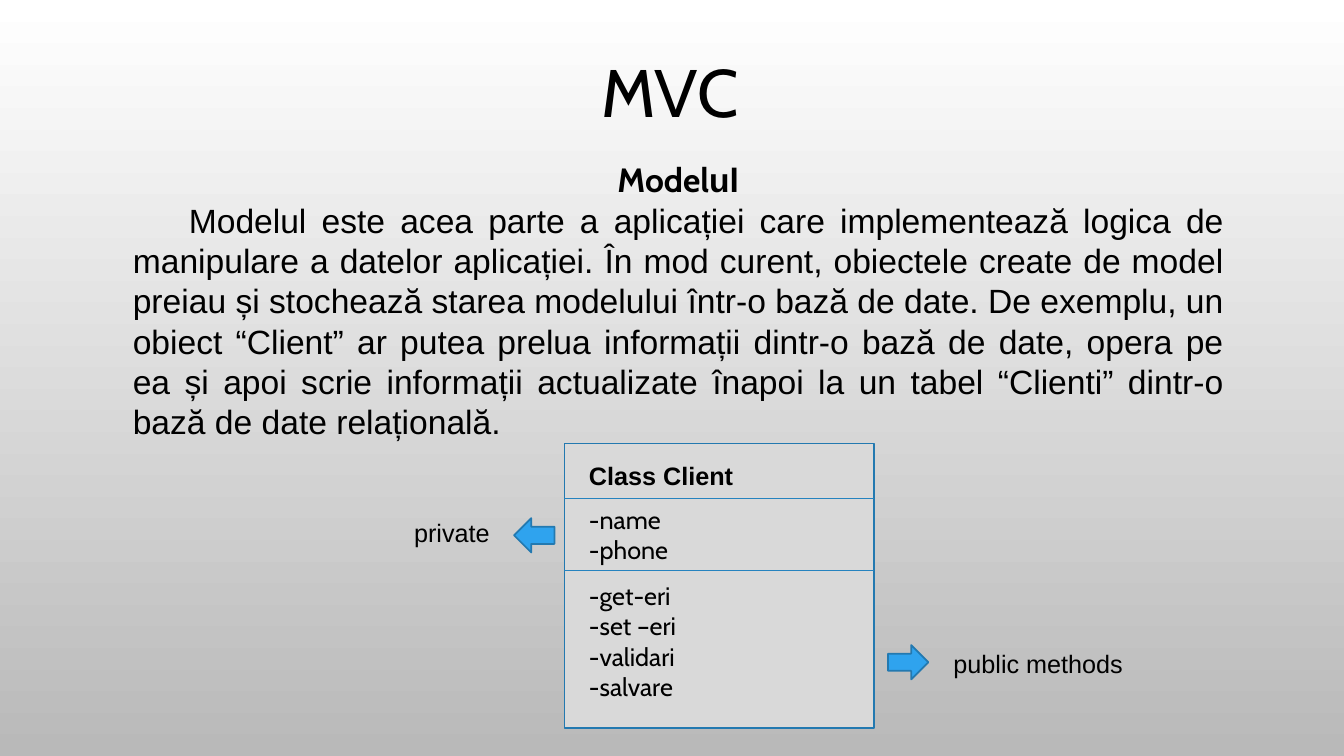
from lxml.etree import SubElement
from pptx import Presentation
from pptx.dml.color import RGBColor
from pptx.enum.shapes import MSO_CONNECTOR as Connector, MSO_SHAPE as Shape
from pptx.enum.text import MSO_ANCHOR as Anchor, PP_ALIGN as Align
from pptx.oxml.ns import qn
from pptx.util import Pt

BLACK = RGBColor(0x00, 0x00, 0x00)
WHITE = RGBColor(0xFF, 0xFF, 0xFF)
SILVER = RGBColor(0xB9, 0xB9, 0xB9)
CARD_GREY = RGBColor(0xD9, 0xD9, 0xD9)
ARROW_BLUE = RGBColor(0x2F, 0xA3, 0xEE)
OUTLINE_BLUE = RGBColor(0x23, 0x79, 0xB0)
DIVIDER_BLUE = RGBColor(0x26, 0x83, 0xBF)

HEADING_FONT = "Cabin"
BODY_FONT = "Arial"

EXPLANATION = (
    "Modelul este acea parte a aplicației care implementează logica de manipulare "
    "a datelor aplicației. În mod curent, obiectele create de model preiau și "
    "stochează starea modelului într-o bază de date. De exemplu, un obiect “Client” "
    "ar putea prelua informații dintr-o bază de date, opera pe ea și apoi scrie "
    "informații actualizate înapoi la un tabel “Clienti” dintr-o bază de date "
    "relațională."
)


def style(paragraph, font_name, size, bold=False, align=Align.LEFT):
    """Set the font and alignment of a whole paragraph."""
    font = paragraph.font
    font.name, font.size, font.bold = font_name, Pt(size), bold
    font.color.rgb = BLACK
    paragraph.alignment = align


def add_text(slide, box, lines, font_name, size=18, bold=False, align=Align.LEFT):
    """Add a wrapping text box with one paragraph per line."""
    frame = slide.shapes.add_textbox(*map(Pt, box)).text_frame
    frame.word_wrap = True
    frame.text = "\n".join(lines)
    for paragraph in frame.paragraphs:
        style(paragraph, font_name, size, bold, align)
    return frame


def add_block(slide, kind, box, fill):
    """Add a filled preset shape with the blue outline."""
    block = slide.shapes.add_shape(kind, *map(Pt, box))
    block.shadow.inherit = False
    block.fill.solid()
    block.fill.fore_color.rgb = fill
    block.line.color.rgb = OUTLINE_BLUE
    block.line.width = Pt(1.25)
    return block


def add_divider(slide, left, top, width):
    """Add a thin horizontal rule."""
    divider = slide.shapes.add_connector(
        Connector.STRAIGHT, Pt(left), Pt(top), Pt(left + width), Pt(top))
    divider.line.color.rgb = DIVIDER_BLUE
    divider.line.width = Pt(0.75)
    SubElement(divider._element.spPr, qn("a:effectLst"))


def paint_background(slide):
    """Fill the background from white at the top to silver at the bottom."""
    fill = slide.background.fill
    fill.gradient()
    fill.gradient_angle = 270
    for stop, color in zip(fill.gradient_stops, (WHITE, SILVER)):
        stop.color.rgb = color


def add_title(slide, box):
    """Add the slide title, resting on the bottom of its box."""
    frame = add_text(slide, box, ["MVC"], HEADING_FONT, 48, align=Align.CENTER)
    frame.vertical_anchor = Anchor.BOTTOM
    frame.paragraphs[0].line_spacing = 0.9


def add_explanation(slide, box):
    """Add the centred heading and the justified paragraph below it."""
    frame = add_text(slide, box, ["", EXPLANATION], BODY_FONT, 24)
    heading, explanation = frame.paragraphs
    style(heading, HEADING_FONT, 24, True, Align.CENTER)
    for part, font_name in (("Model", HEADING_FONT), ("ul", BODY_FONT)):
        run = heading.add_run()
        run.text = part
        run.font.name = font_name
    explanation.alignment = Align.JUSTIFY
    explanation._p.get_or_add_pPr().set("indent", str(Pt(40)))


def add_class_card(slide, box):
    """Add the class diagram: name, fields and methods split by dividers."""
    left, top, width, height = box
    add_block(slide, Shape.RECTANGLE, box, CARD_GREY)
    for offset in (39.6, 91):
        add_divider(slide, left, top + offset, width)
    sections = (
        (8.6, 28.8, ["Class Client"], BODY_FONT, True),
        (39.6, 51, ["-name", "-phone"], HEADING_FONT, False),
        (94.3, 94.3, ["-get-eri", "-set –eri", "-validari", "-salvare"],
         HEADING_FONT, False),
    )
    for offset, section_height, lines, font_name, bold in sections:
        section = (left + 10.4, top + offset, width - 25, section_height)
        add_text(slide, section, lines, font_name, bold=bold)


def add_callout(slide, box, caption, arrow_left, arrow_top, rotation=0):
    """Add a caption and the block arrow that joins it to the class."""
    add_text(slide, box, [caption], BODY_FONT)
    arrow = add_block(
        slide, Shape.RIGHT_ARROW, (arrow_left, arrow_top, 28.8, 24.5), ARROW_BLUE)
    arrow.rotation = rotation


def main():
    """Build the slide and save it."""
    deck = Presentation()
    deck.slide_width, deck.slide_height = Pt(960), Pt(540)
    slide = deck.slides.add_slide(deck.slide_layouts[6])
    paint_background(slide)
    add_title(slide, (70.6, 29.5, 815.8, 68.4))
    add_explanation(slide, (87.8, 110.2, 793.4, 211))
    add_class_card(slide, (403.2, 316.8, 221, 203))
    add_callout(slide, (288.7, 365.8, 75.6, 28.8), "private", 367.2, 370.1, 180)
    add_callout(slide, (673.9, 459.4, 150.5, 28.8), "public methods", 634.3, 460.8)
    deck.save("out.pptx")


if __name__ == "__main__":
    main()
